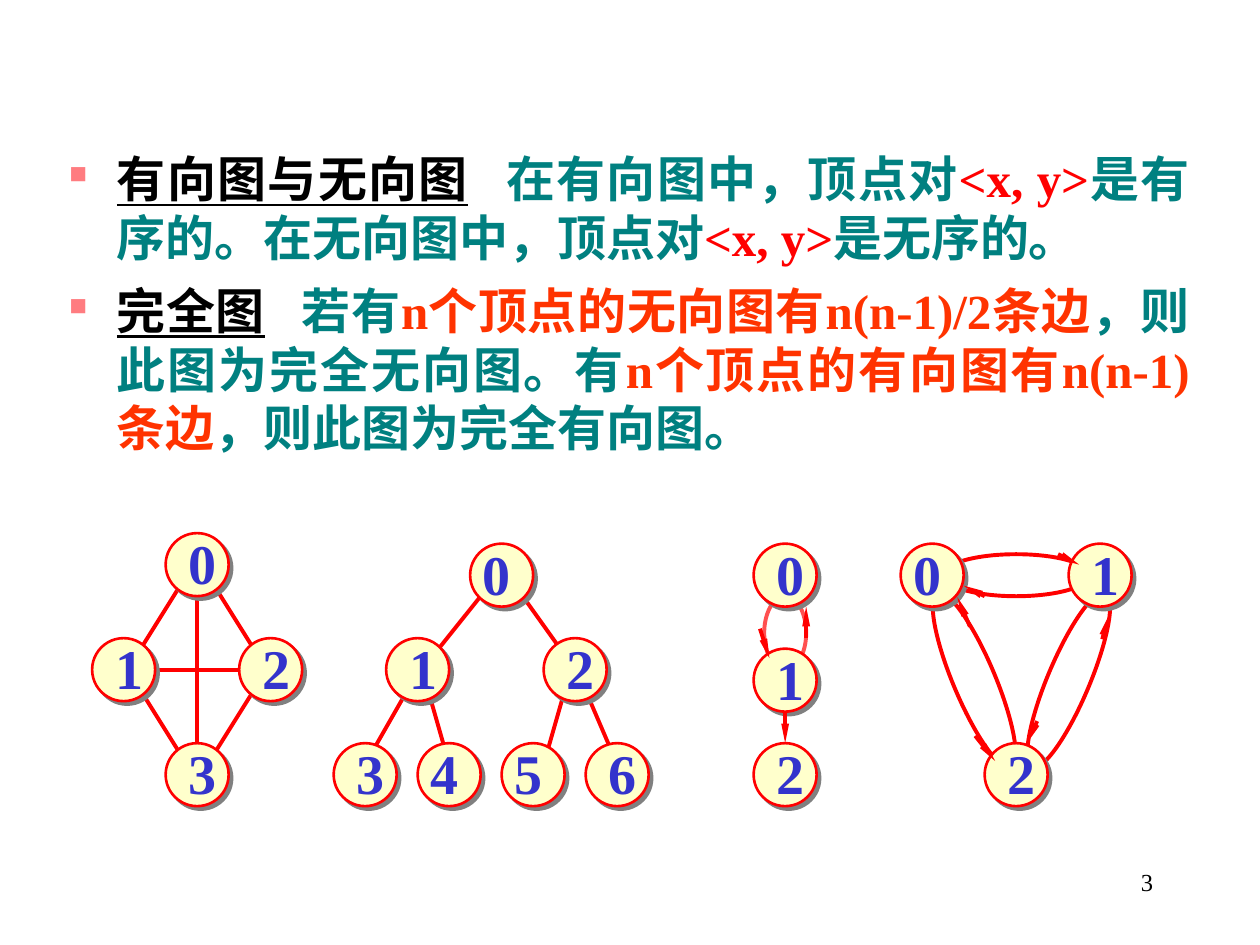
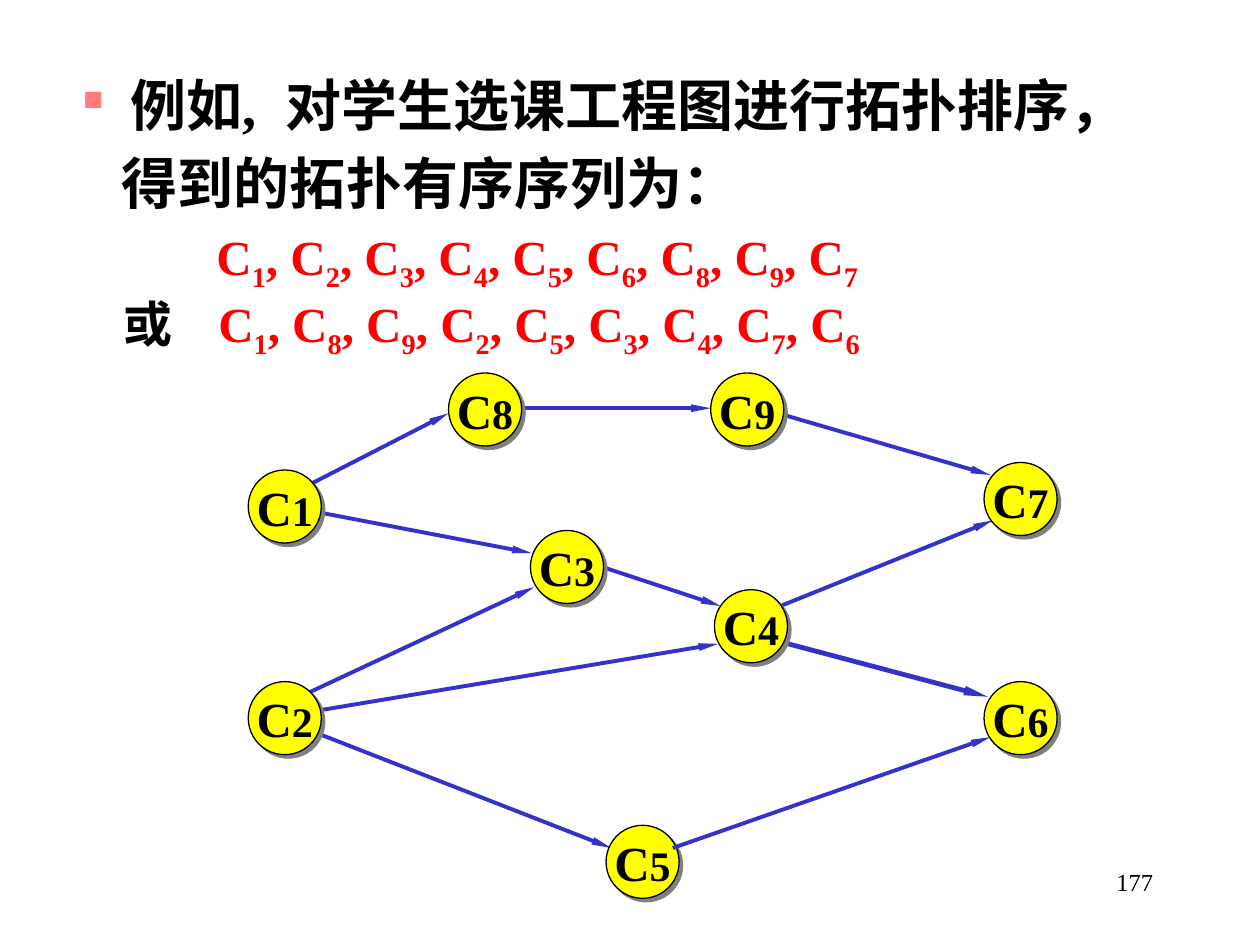
"""Build two slides on graph terminology and topological order."""
from lxml import etree
from pptx import Presentation
from pptx import util as u
from pptx.dml.color import RGBColor
from pptx.enum import shapes, text
from pptx.oxml import ns

COLOURS = {
    "ink": "000000", "teal": "008080", "red": "FF0000", "orange": "FF3300",
    "coral": "FF5050", "bullet": "FF7C80", "blue": "3333CC",
    "cream": "FFFFCC", "yellow": "FFFF00", "shade": "808080",
}
FONT = "Times New Roman"
CELL = 1 / 12
MARGIN = 0.065
HANG = 0.38


def write(box, spans, size=28, colour="ink", bold=True, align=None, left=0,
          hang=0, before=0, bullet=False, wrap=True):
    """Add one paragraph of (text, format) spans to a box."""
    frame = box.text_frame
    frame.word_wrap = wrap
    para = frame.paragraphs[0] if not frame.text else frame.add_paragraph()
    para.alignment = align
    para.space_before = u.Pt(before)
    props = para._p.get_or_add_pPr()
    props.set("marL", str(u.Inches(left)))
    props.set("indent", str(-u.Inches(hang)))
    if bullet:
        tint = etree.SubElement(props, ns.qn("a:buClr"))
        etree.SubElement(tint, ns.qn("a:srgbClr"), val=COLOURS["bullet"])
        etree.SubElement(props, ns.qn("a:buSzPct"), val="50000")
        etree.SubElement(props, ns.qn("a:buChar"), char="■")
    for words, form in spans:
        span = para.add_run()
        span.text = words
        span.font.name = FONT
        span.font.size = u.Pt(form.get("size", size))
        span.font.bold = bold
        span.font.underline = form.get("underline")
        span.font.color.rgb = RGBColor.from_string(COLOURS[form.get("colour", colour)])
        for name in ("baseline", "spc"):
            if name in form:
                span.font._element.set(name, str(form[name]))


def finish(shape, colour, width, fill=None, shadow=False, arrow=False):
    """Set the line, fill, shadow and arrowhead of a shape or connector."""
    shape.line.color.rgb = RGBColor.from_string(COLOURS[colour])
    shape.line.width = u.Pt(width)
    if fill:
        shape.fill.solid()
        shape.fill.fore_color.rgb = RGBColor.from_string(COLOURS[fill])
    if arrow:
        etree.SubElement(shape.line._get_or_add_ln(), ns.qn("a:tailEnd"),
                         type="triangle", w="sm", len="lg")
    effects = etree.SubElement(shape._element.spPr, ns.qn("a:effectLst"))
    if shadow:
        cast = etree.SubElement(effects, ns.qn("a:outerShdw"), dist=str(u.Pt(2.8)),
                                dir="2700000", algn="ctr", rotWithShape="0")
        etree.SubElement(cast, ns.qn("a:srgbClr"), val=COLOURS["shade"])


deck = Presentation()
deck.slide_width, deck.slide_height = u.Inches(10), u.Inches(7.5)
pages = []
for number in ("3", "177"):
    page = deck.slides.add_slide(deck.slide_layouts[6])
    pages.append(page)
terms, order = pages

arcs = [
    (72, 56, 4, 7, 0, "coral"), (99, 55, 4, 18, 22.8, "red"),
    (90, 55, 4, 18, -22.8, "red"), (89, 52, 14, 4, 0, "red"),
]
for col, row, cols, rows, turn, colour in arcs:
    arc = terms.shapes.add_shape(
        shapes.MSO_SHAPE.OVAL, u.Inches(MARGIN + col * CELL), u.Inches(MARGIN + row * CELL),
        u.Inches(cols * CELL), u.Inches(rows * CELL))
    arc.rotation = turn
    arc.fill.background()
    finish(arc, colour, 2.25)

plain_edges = [
    (49, 56, 54, 63), (53, 65, 51, 72), (55, 65, 58, 72), (45, 56, 41, 61),
    (40, 65, 42, 72), (38, 65, 34, 72), (12, 64, 17, 72), (19, 54, 24, 62),
    (24, 64, 19, 72), (17, 54, 12, 62), (13, 63, 24, 63), (18, 55, 18, 73),
]
arrow_edges = [
    (76, 60, 76, 57), (74, 67, 74, 70), (100, 52, 102, 53), (93, 56, 91, 55),
    (92.1, 69.3, 94, 71.7), (91.6, 58.9, 90.4, 56.1), (98, 67.9, 97.1, 69.9),
    (104.2, 60.1, 104.8, 57.9), (71.6, 59.1, 72.5, 61.9),
]
vertices = [
    ("0", 15, 50, 1), ("1", 8, 60, 1), ("2", 22, 60, 1), ("3", 15, 70, 1),
    ("0", 44, 51, 0), ("1", 36, 60, 1), ("2", 51, 60, 1), ("3", 31, 70, 1),
    ("4", 39, 70, 0), ("5", 47, 70, 0), ("6", 55, 70, 1),
    ("0", 71, 51, 1), ("1", 71, 61, 1), ("2", 71, 70, 1),
    ("0", 85, 51, 0), ("1", 101, 51, 1), ("2", 93, 70, 1),
]
for edge in plain_edges:
    line = terms.shapes.add_connector(
        shapes.MSO_CONNECTOR.STRAIGHT, *[u.Inches(MARGIN + step * CELL) for step in edge])
    finish(line, "red", 2.25)
for label, col, row, nudge in vertices:
    vertex = terms.shapes.add_shape(
        shapes.MSO_SHAPE.OVAL, u.Inches(MARGIN + col * CELL),
        u.Inches(MARGIN + row * CELL), u.Inches(0.5), u.Inches(0.5))
    finish(vertex, "red", 1.5, fill="cream", shadow=True)
for edge in arrow_edges:
    line = terms.shapes.add_connector(
        shapes.MSO_CONNECTOR.STRAIGHT, *[u.Inches(MARGIN + step * CELL) for step in edge])
    finish(line, "red", 2.25, arrow=True)
for label, col, row, nudge in vertices:
    digit = terms.shapes.add_textbox(
        u.Inches(MARGIN + (col + nudge) * CELL), u.Inches(MARGIN + (row - 1) * CELL),
        u.Inches(0.42), u.Inches(0.63))
    write(digit, [(label, {})], size=32, colour="blue", wrap=False)

term, gap = {"colour": "ink", "underline": True}, {"spc": 1400}
red, orange = {"colour": "red"}, {"colour": "orange"}
definitions = [
    [("有向图与无向图", term), (" ", gap), ("在有向图中，顶点对", {}), ("<x, y>", red),
     ("是有序的。在无向图中，顶点对", {}), ("<x, y>", red), ("是无序的。", {})],
    [("完全图", term), (" ", gap), ("若有", {}), ("n个顶点的无向图有n(n-1)/2条边", orange),
     ("，则此图为完全无向图。有", {}), ("n个顶点的有向图有n(n-1)条边", orange),
     ("，则此图为完全有向图。", {})],
]
body = terms.shapes.add_textbox(u.Inches(0.45), u.Inches(1.13), u.Inches(9.09), u.Inches(2.58))
for rank, spans in enumerate(definitions):
    write(body, spans, colour="teal", align=text.PP_ALIGN.JUSTIFY, left=HANG, hang=HANG,
          before=8 * rank, bullet=True)

intro = order.shapes.add_textbox(u.Inches(0.56), u.Inches(0.51), u.Inches(8.92), u.Inches(1.19))
write(intro, [("例如,", {}), (" ", {"spc": 800}), ("对学生选课工程图进行拓扑排序，", {})],
      size=32, left=HANG, hang=HANG, bullet=True)
write(intro, [("得到的拓扑有序序列为：", {})], size=32, left=0.31, before=6.4)

answers = order.shapes.add_textbox(u.Inches(0.5), u.Inches(1.75), u.Inches(9), u.Inches(1.28))
sequences = [
    ("123456897", 1.12, []),
    ("189253476", HANG, [("或", {"colour": "ink"}), (" ", {"spc": 2000})]),
]
for digits, left, spans in sequences:
    for rank, digit in enumerate(digits):
        spans += [(", C" if rank else "C", {}), (digit, {"baseline": -25000})]
    write(answers, spans, colour="red", left=left)

course_edges = [
    (2.4, 5.66, 5.7, 5.11), (4.72, 4.48, 5.72, 4.81), (6.14, 3.27, 7.86, 3.77),
    (6.07, 4.86, 7.88, 4.13), (3.89, 3.24, 5.64, 3.24), (6.18, 5.09, 7.84, 5.53),
    (2.39, 5.77, 4.85, 6.73), (2.38, 5.53, 4.24, 4.66), (2.13, 3.99, 4.22, 4.39),
    (2.39, 3.88, 3.56, 3.28), (5.34, 6.73, 7.86, 5.85),
]
courses = {
    "8": (3.56, 2.96), "3": (4.21, 4.21), "5": (4.81, 6.55), "4": (5.67, 4.68),
    "9": (5.64, 2.96), "6": (7.81, 5.41), "7": (7.81, 3.67), "1": (1.97, 3.73),
    "2": (1.97, 5.41),
}
lines = []
for edge in course_edges[:-1]:
    line = order.shapes.add_connector(
        shapes.MSO_CONNECTOR.STRAIGHT, *[u.Inches(place) for place in edge])
    lines.append(line)
for digit, (left, top) in courses.items():
    course = order.shapes.add_shape(
        shapes.MSO_SHAPE.OVAL, u.Inches(left), u.Inches(top), u.Inches(0.58), u.Inches(0.58))
    finish(course, "ink", 0.75, fill="yellow", shadow=True)
    course.text_frame.vertical_anchor = text.MSO_ANCHOR.MIDDLE
    write(course, [("C", {}), (digit, {"size": 24})], align=text.PP_ALIGN.CENTER, wrap=False)
lines.append(order.shapes.add_connector(
    shapes.MSO_CONNECTOR.STRAIGHT, *[u.Inches(place) for place in course_edges[-1]]))
for rank, line in enumerate(lines):
    finish(line, "blue", 2.75 if rank == 5 else 2.25, arrow=True)

for page, number in zip(pages, ("3", "177")):
    footer = page.shapes.add_textbox(u.Inches(7.17), u.Inches(6.83), u.Inches(2.08), u.Inches(0.5))
    write(footer, [(number, {})], size=14, bold=False, align=text.PP_ALIGN.RIGHT)

deck.save("out.pptx")
